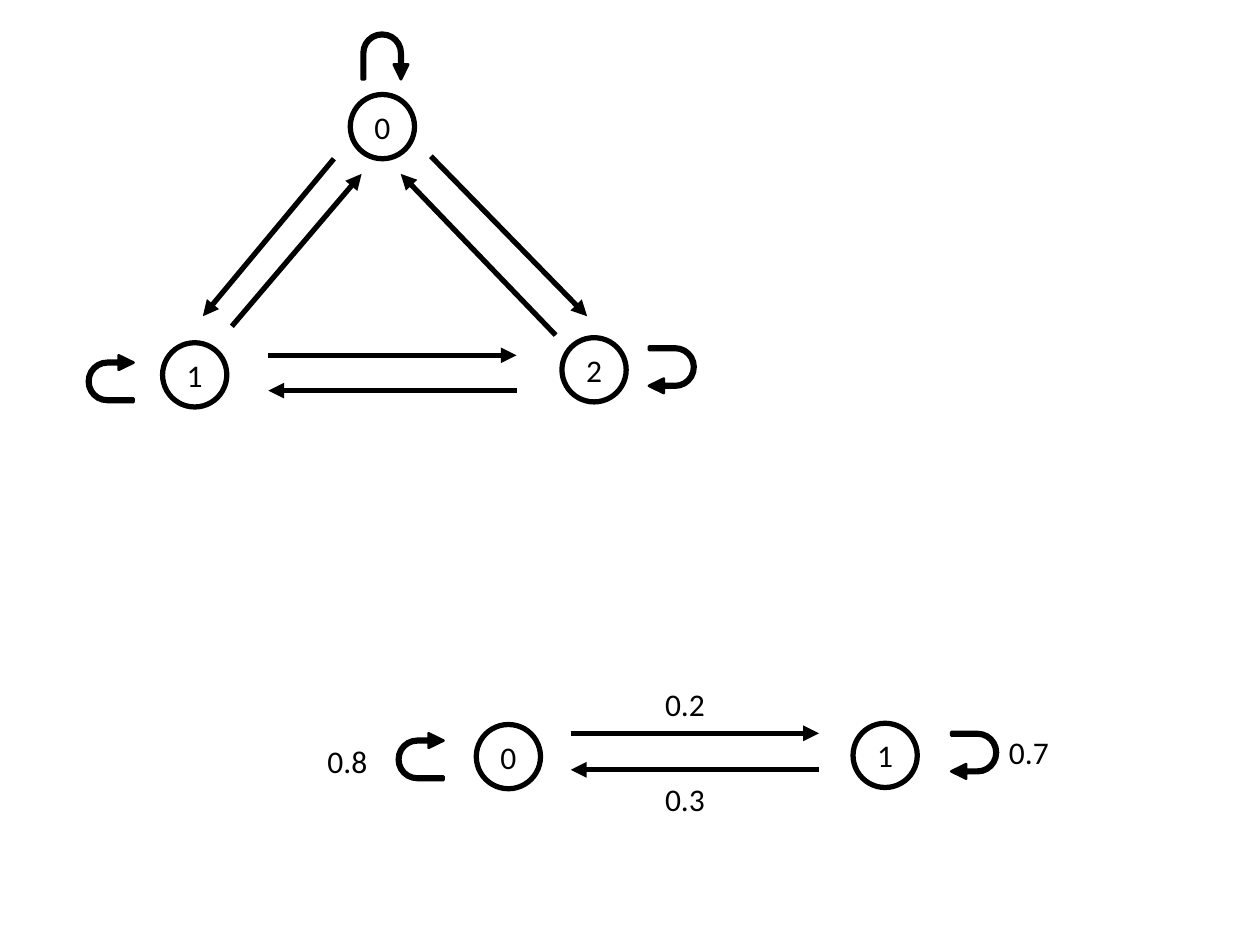
from dataclasses import dataclass

from lxml.etree import SubElement
from pptx import Presentation
from pptx.dml.color import RGBColor
from pptx.enum.shapes import MSO_CONNECTOR, MSO_SHAPE
from pptx.enum.text import MSO_ANCHOR, MSO_AUTO_SIZE, PP_ALIGN
from pptx.oxml.ns import qn
from pptx.util import Inches, Pt


@dataclass(frozen=True)
class Theme:
    ink: RGBColor = RGBColor(0, 0, 0)
    font: str = "Calibri"
    text_size: float = 18
    line_width: float = 3
    loop_line_width: float = 1.5


@dataclass(frozen=True)
class State:
    name: str
    left: float
    top: float


@dataclass(frozen=True)
class Transition:
    start: tuple[float, float]
    end: tuple[float, float]


@dataclass(frozen=True)
class SelfLoop:
    left: float
    top: float
    rotation: int


@dataclass(frozen=True)
class Probability:
    text: str
    left: float
    top: float


THEME = Theme()
STATE_SIZE = 0.51
LOOP_SIZE = 0.37
LABEL_WIDTH, LABEL_HEIGHT = 0.6, 0.4
LOOP_ADJUSTMENTS = (0.076, 0.155, 0.319, 0.438, 1)
PAIR_LENGTH = 1.97


def horizontal_pair(left: float, top: float, bottom: float) -> list[Transition]:
    """Return a rightward arrow above a leftward arrow."""
    right = left + PAIR_LENGTH
    return [
        Transition((left, top), (right, top)),
        Transition((right, bottom), (left, bottom)),
    ]


STATES = [
    State("0", 2.78, 0.75),
    State("1", 1.29, 2.72),
    State("2", 4.46, 2.68),
    State("0", 3.78, 5.75),
    State("1", 6.77, 5.74),
]
TRANSITIONS = [
    Transition((1.84, 2.59), (2.87, 1.38)),
    Transition((2.65, 1.26), (1.61, 2.51)),
    Transition((3.42, 1.24), (4.66, 2.51)),
    Transition((4.41, 2.66), (3.18, 1.38)),
    *horizontal_pair(2.13, 2.82, 3.10),
    *horizontal_pair(4.53, 5.82, 6.11),
]
SELF_LOOPS = [
    SelfLoop(2.87, 0.26, 0),
    SelfLoop(0.69, 2.82, 270),
    SelfLoop(5.15, 2.75, 90),
    SelfLoop(3.15, 5.82, 270),
    SelfLoop(7.55, 5.81, 90),
]
PROBABILITIES = [
    Probability("0.2", 5.18, 5.39),
    Probability("0.3", 5.18, 6.14),
    Probability("0.7", 7.91, 5.77),
    Probability("0.8", 2.50, 5.84),
]


def write_text(shape, text: str, *, alignment=PP_ALIGN.LEFT, anchor=MSO_ANCHOR.TOP) -> None:
    frame = shape.text_frame
    frame.word_wrap = False
    frame.auto_size = MSO_AUTO_SIZE.SHAPE_TO_FIT_TEXT
    frame.vertical_anchor = anchor
    paragraph = frame.paragraphs[0]
    paragraph.alignment = alignment
    run = paragraph.add_run()
    run.text = text
    run.font.name = THEME.font
    run.font.size = Pt(THEME.text_size)
    run.font.color.rgb = THEME.ink


def set_line(line, width: float) -> None:
    line.color.rgb = THEME.ink
    line.width = Pt(width)


def draw_state(slide, state: State) -> None:
    shape = slide.shapes.add_shape(
        MSO_SHAPE.OVAL, Inches(state.left), Inches(state.top),
        Inches(STATE_SIZE), Inches(STATE_SIZE),
    )
    shape.shadow.inherit = False
    shape.fill.background()
    set_line(shape.line, THEME.line_width)
    write_text(shape, state.name, alignment=PP_ALIGN.CENTER, anchor=MSO_ANCHOR.MIDDLE)


def draw_transition(slide, transition: Transition) -> None:
    points = (Inches(value) for value in transition.start + transition.end)
    connector = slide.shapes.add_connector(MSO_CONNECTOR.STRAIGHT, *points)
    set_line(connector.line, THEME.line_width)
    properties = connector._element.spPr
    SubElement(properties.find(qn("a:ln")), qn("a:tailEnd"), type="triangle")
    SubElement(properties, qn("a:effectLst"))


def draw_self_loop(slide, loop: SelfLoop) -> None:
    shape = slide.shapes.add_shape(
        MSO_SHAPE.U_TURN_ARROW, Inches(loop.left), Inches(loop.top),
        Inches(LOOP_SIZE), Inches(LOOP_SIZE),
    )
    for index, value in enumerate(LOOP_ADJUSTMENTS):
        shape.adjustments[index] = value
    shape.rotation = loop.rotation
    shape.shadow.inherit = False
    shape.fill.solid()
    shape.fill.fore_color.rgb = THEME.ink
    set_line(shape.line, THEME.loop_line_width)


def draw_probability(slide, probability: Probability) -> None:
    box = slide.shapes.add_textbox(
        Inches(probability.left), Inches(probability.top),
        Inches(LABEL_WIDTH), Inches(LABEL_HEIGHT),
    )
    write_text(box, probability.text)


def main() -> None:
    presentation = Presentation()
    presentation.slide_width = Inches(10)
    presentation.slide_height = Inches(7.5)
    slide = presentation.slides.add_slide(presentation.slide_layouts[6])
    for draw, items in (
        (draw_state, STATES),
        (draw_transition, TRANSITIONS),
        (draw_self_loop, SELF_LOOPS),
        (draw_probability, PROBABILITIES),
    ):
        for item in items:
            draw(slide, item)
    presentation.save("out.pptx")


if __name__ == "__main__":
    main()
